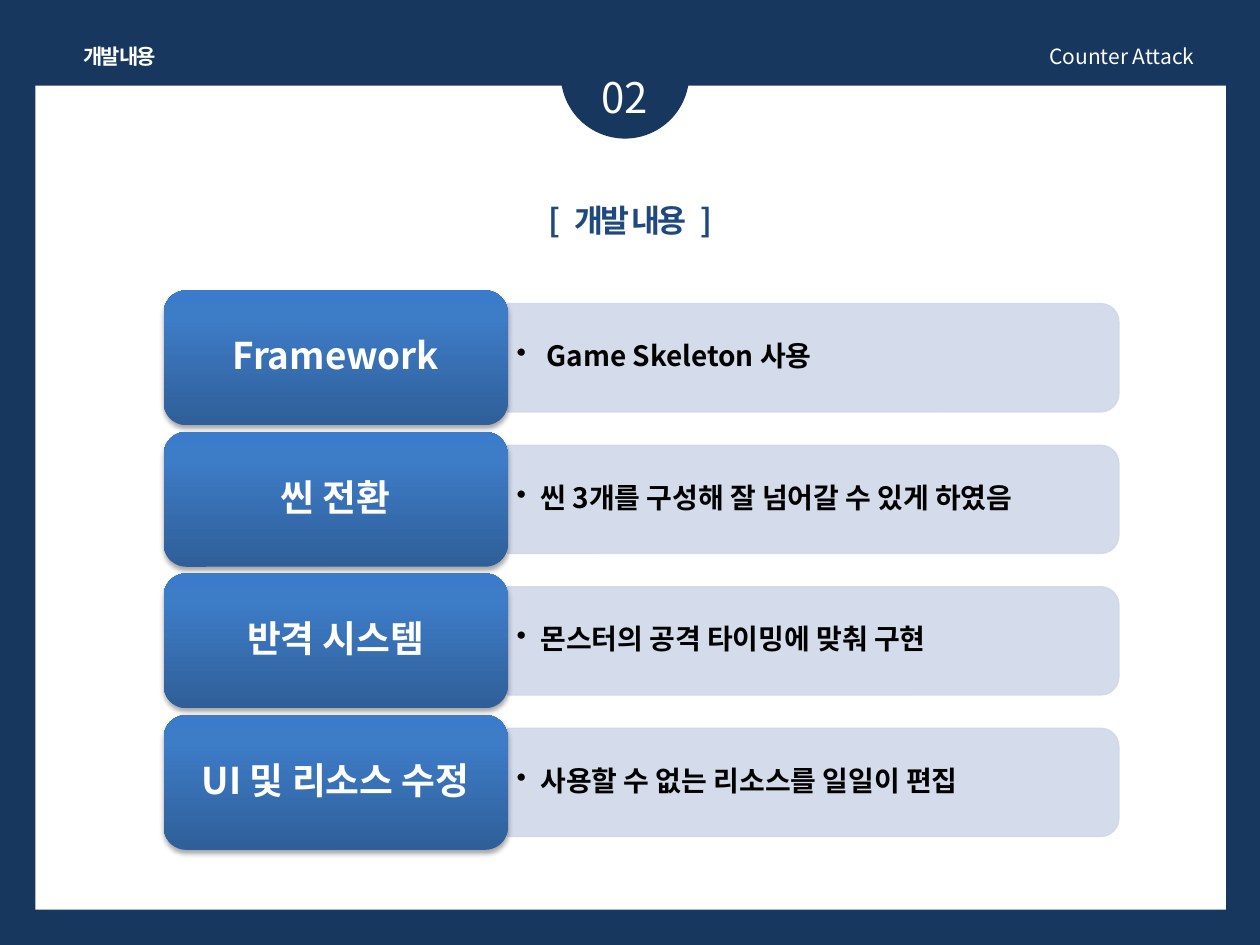
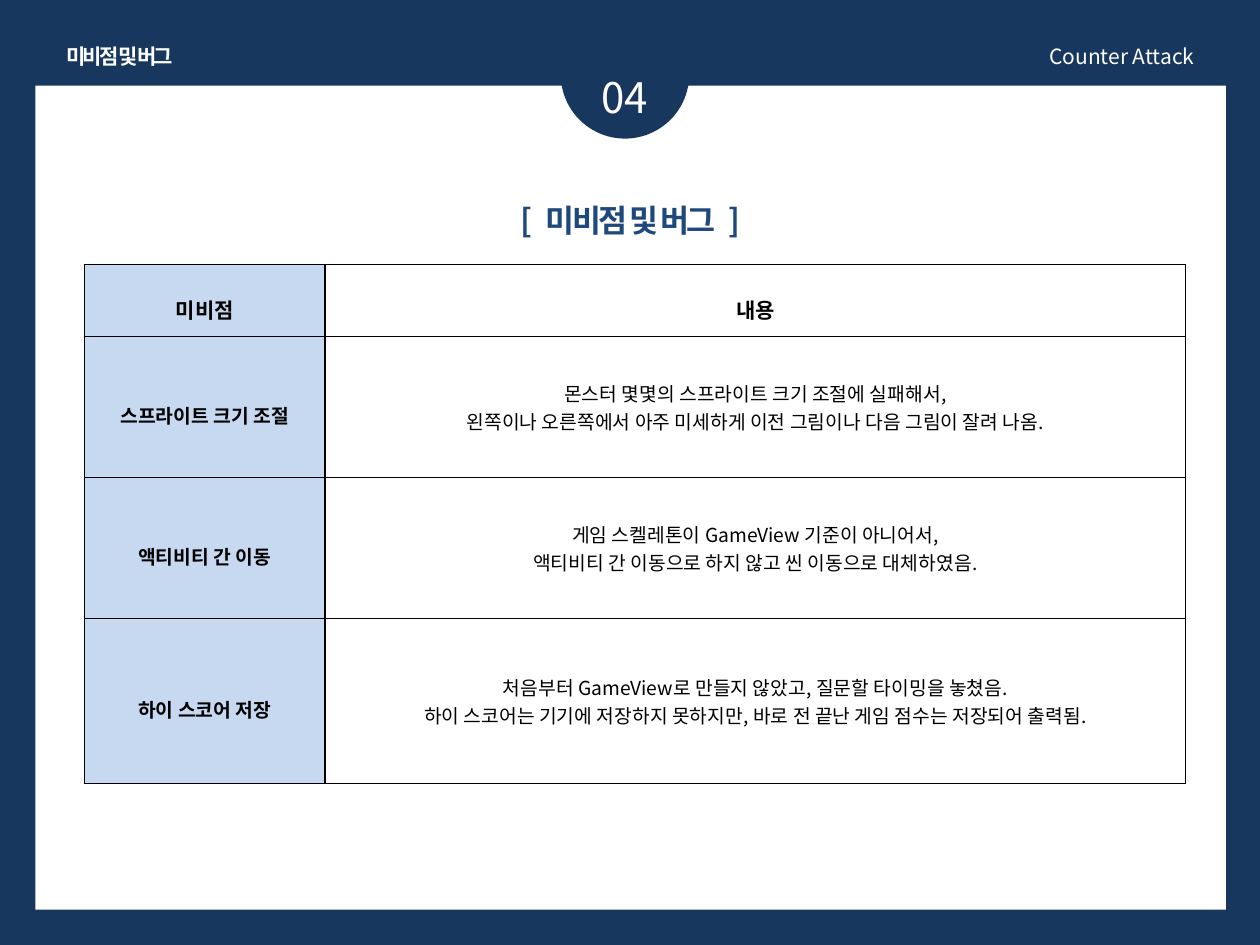
from dataclasses import dataclass

from lxml.etree import SubElement
from pptx import Presentation
from pptx.dml.color import RGBColor
from pptx.enum.shapes import MSO_SHAPE
from pptx.enum.text import MSO_ANCHOR, MSO_AUTO_SIZE, PP_ALIGN
from pptx.oxml.ns import qn
from pptx.util import Inches, Pt

# Content
GAME = "Counter Attack"
DEVELOPMENT = {"number": "02", "name": "개발 내용", "tab_width": 0.83}
ISSUES = {"number": "04", "name": "미비점 및 버그", "tab_width": 1.16}
FEATURES = [
    ("Framework", " Game Skeleton 사용"),
    ("씬 전환", "씬 3개를 구성해 잘 넘어갈 수 있게 하였음"),
    ("반격 시스템", "몬스터의 공격 타이밍에 맞춰 구현"),
    ("UI 및 리소스 수정", "사용할 수 없는 리소스를 일일이 편집"),
]
ISSUE_HEADER = ("미비점", "내용")
ISSUE_ROWS = [
    ("스프라이트 크기 조절",
     ["몬스터 몇몇의 스프라이트 크기 조절에 실패해서,",
      "왼쪽이나 오른쪽에서 아주 미세하게 이전 그림이나 다음 그림이 잘려 나옴."]),
    ("액티비티 간 이동",
     ["게임 스켈레톤이 GameView 기준이 아니어서,",
      "액티비티 간 이동으로 하지 않고 씬 이동으로 대체하였음."]),
    ("하이 스코어 저장",
     ["처음부터 GameView로 만들지 않았고, 질문할 타이밍을 놓쳤음.",
      "하이 스코어는 기기에 저장하지 못하지만, 바로 전 끝난 게임 점수는 저장되어 출력됨."]),
]


@dataclass(frozen=True)
class Theme:
    navy: str = "17375E"
    white: str = "FFFFFF"
    black: str = "000000"
    title: str = "1F497D"
    bar: str = "D0D8E8"
    key_cell: str = "C6D9F1"
    gradient: tuple = ((0, "2F5F99"), (80, "3D7CC7"), (100, "3A7CCB"))
    font: str = "Noto Sans CJK KR"
    table_font: str = "Arial"
    number_size: int = 24
    label_size: int = 21
    title_size: int = 18
    detail_size: int = 16
    small_size: int = 12
    cell_size: int = 11


THEME = Theme()


# Text helpers
def apply(target, formats):
    for name, value in formats.items():
        setattr(target, name, value)


def add_span(para, text, size, color, bold=False, font=THEME.font, spacing=None):
    span = para.add_run()
    span.text = text
    apply(span.font, {"size": Pt(size), "bold": bold, "name": font})
    span.font.color.rgb = RGBColor.from_string(color)
    properties = span.font._element
    SubElement(properties, qn("a:ea"), typeface=THEME.font)
    if spacing is not None:
        properties.set("spc", str(int(spacing * 100)))


def set_insets(target, horizontal, vertical):
    apply(target, {"margin_left": Inches(horizontal), "margin_right": Inches(horizontal),
                   "margin_top": Inches(vertical), "margin_bottom": Inches(vertical)})


def add_box(page, left, top, width, height, align, **frame_formats):
    box = page.shapes.add_textbox(*map(Inches, (left, top, width, height)))
    apply(box.text_frame, {"word_wrap": True, **frame_formats})
    para = box.text_frame.paragraphs[0]
    para.alignment = align
    return box, para


# Shape helpers
def add_color(parent, color, alpha=None):
    node = SubElement(parent, qn("a:srgbClr"), val=color)
    if alpha is not None:
        SubElement(node, qn("a:alpha"), val=str(alpha * 1000))


def add_plain_shape(page, kind, left, top, width, height, color):
    shape = page.shapes.add_shape(kind, *map(Inches, (left, top, width, height)))
    shape.shadow.inherit = False
    shape.fill.solid()
    shape.fill.fore_color.rgb = RGBColor.from_string(color)
    shape.line.fill.background()
    return shape


def add_gradient(shape):
    properties = shape._element.spPr
    properties.remove(properties.find(qn("a:solidFill")))
    gradient = SubElement(properties, qn("a:gradFill"), rotWithShape="1")
    stops = SubElement(gradient, qn("a:gsLst"))
    for position, color in THEME.gradient:
        add_color(SubElement(stops, qn("a:gs"), pos=str(position * 1000)), color)
    SubElement(gradient, qn("a:lin"), ang=str(270 * 60000), scaled="0")
    properties.find(qn("a:ln")).addprevious(gradient)


def add_soft_shadow(shape):
    effects = shape._element.spPr.find(qn("a:effectLst"))
    shadow = SubElement(effects, qn("a:outerShdw"), blurRad=str(Pt(3.1)), dist=str(Pt(1.8)),
                        dir=str(90 * 60000), rotWithShape="0")
    add_color(shadow, THEME.black, 35)


# Frame, number badge, corner labels and heading of every slide
def add_page(deck, section):
    page = deck.slides.add_slide(deck.slide_layouts[6])
    page.background.fill.solid()
    page.background.fill.fore_color.rgb = RGBColor.from_string(THEME.navy)
    add_plain_shape(page, MSO_SHAPE.RECTANGLE, 0.28, 0.68, 9.45, 6.54, THEME.white)
    add_plain_shape(page, MSO_SHAPE.OVAL, 4.45, 0.08, 1.02, 1.02, THEME.navy)

    grow = {"auto_size": MSO_AUTO_SIZE.SHAPE_TO_FIT_TEXT}
    _, para = add_box(page, 4.37, 0.52, 1.18, 0.5, PP_ALIGN.CENTER, **grow)
    add_span(para, section["number"], THEME.number_size, THEME.white)

    width = section["tab_width"]
    _, para = add_box(page, 0.95 - width / 2, 0.3, width, 0.3, PP_ALIGN.CENTER,
                      **{**grow, "word_wrap": False})
    add_span(para, section["name"], THEME.small_size, THEME.white, True, spacing=-1.5)
    _, para = add_box(page, 8.23, 0.3, 1.57, 0.3, PP_ALIGN.JUSTIFY, **grow)
    add_span(para, GAME, THEME.small_size, THEME.white)

    # Wide letter spacing on the blanks holds the brackets away from the name
    _, para = add_box(page, 2.72, 1.55, 4.57, 0.4, PP_ALIGN.CENTER, **grow)
    for text, spacing in (("[", -1.5), (" ", 3.6), (section["name"], -1.5),
                          (" ", 3.6), ("]", -1.5)):
        add_span(para, text, THEME.title_size, THEME.title, True, spacing=spacing)
    return page


# Feature list: a label block with a bar to its right
def add_feature(page, middle, label, detail):
    block_left, block_width, block_height = 1.3, 2.73, 1.07
    bar_left, bar_length, bar_height = block_left + block_width, 4.85, 0.86

    bar = add_plain_shape(page, MSO_SHAPE.ROUND_2_SAME_RECTANGLE,
                          bar_left + (bar_length - bar_height) / 2, middle - bar_length / 2,
                          bar_height, bar_length, THEME.bar)
    bar.rotation = 90
    bar.line.color.rgb = RGBColor.from_string(THEME.bar)
    bar.line.width = Pt(0.75)
    for color in bar._element.spPr.iter(qn("a:srgbClr")):
        SubElement(color, qn("a:alpha"), val="90000")

    box, para = add_box(page, bar_left, middle - 0.385, 4.81, 0.77, PP_ALIGN.LEFT,
                        vertical_anchor=MSO_ANCHOR.MIDDLE)
    set_insets(box.text_frame, 0.07, 0.03)
    apply(para, {"level": 1, "line_spacing": 0.9})
    properties = para._p.get_or_add_pPr()
    properties.set("marL", str(Inches(0.19)))
    properties.set("indent", str(Inches(-0.19)))
    SubElement(properties, qn("a:buChar"), char="•")
    add_span(para, detail, THEME.detail_size, THEME.black, True)

    block = add_plain_shape(page, MSO_SHAPE.ROUNDED_RECTANGLE, block_left,
                            middle - block_height / 2, block_width, block_height, THEME.navy)
    add_gradient(block)
    add_soft_shadow(block)
    apply(block.text_frame, {"word_wrap": True, "vertical_anchor": MSO_ANCHOR.MIDDLE})
    set_insets(block.text_frame, 0.14, 0.09)
    para = block.text_frame.paragraphs[0]
    apply(para, {"alignment": PP_ALIGN.CENTER, "line_spacing": 0.9})
    add_span(para, label, THEME.label_size, THEME.white, True)


def build_development(deck):
    page = add_page(deck, DEVELOPMENT)
    first, last = 2.84, 6.21
    pitch = (last - first) / (len(FEATURES) - 1)
    for index, (label, detail) in enumerate(FEATURES):
        add_feature(page, first + index * pitch, label, detail)


# Issue table
def fill_cell(cell, lines, size, heading, color=None):
    if color:
        cell.fill.solid()
        cell.fill.fore_color.rgb = RGBColor.from_string(color)
    else:
        cell.fill.background()
    cell.vertical_anchor = MSO_ANCHOR.MIDDLE
    set_insets(cell, 0.05, 0.01)
    font = THEME.table_font if heading else THEME.font
    for index, line in enumerate(lines):
        frame = cell.text_frame
        para = frame.add_paragraph() if index else frame.paragraphs[0]
        apply(para, {"alignment": PP_ALIGN.CENTER, "line_spacing": 1.6 if heading else 1.0})
        add_span(para, line, size, THEME.black, heading, font)

    properties = cell._tc.get_or_add_tcPr()
    for position, side in enumerate(("lnL", "lnR", "lnT", "lnB")):
        border = SubElement(properties, qn(f"a:{side}"), w=str(Pt(1)))
        add_color(SubElement(border, qn("a:solidFill")), THEME.black)
        properties.insert(position, border)


def build_issues(deck):
    page = add_page(deck, ISSUES)
    columns, rows = (1.91, 6.83), (0.57, 1.12, 1.12, 1.31)
    table = page.shapes.add_table(len(rows), len(columns), Inches(0.67), Inches(2.1),
                                  Inches(sum(columns)), Inches(sum(rows))).table
    apply(table, {"first_row": False, "horz_banding": False})
    for column, width in zip(table.columns, columns):
        column.width = Inches(width)
    for row, height in zip(table.rows, rows):
        row.height = Inches(height)

    key, content = ISSUE_HEADER
    fill_cell(table.cell(0, 0), [key], THEME.small_size, True, THEME.key_cell)
    fill_cell(table.cell(0, 1), [content], THEME.small_size, True)
    for index, (issue, lines) in enumerate(ISSUE_ROWS, 1):
        fill_cell(table.cell(index, 0), [issue], THEME.cell_size, True, THEME.key_cell)
        fill_cell(table.cell(index, 1), lines, THEME.cell_size, False)


def main():
    deck = Presentation()
    apply(deck, {"slide_width": Inches(10), "slide_height": Inches(7.5)})
    build_development(deck)
    build_issues(deck)
    deck.save("out.pptx")


if __name__ == "__main__":
    main()
